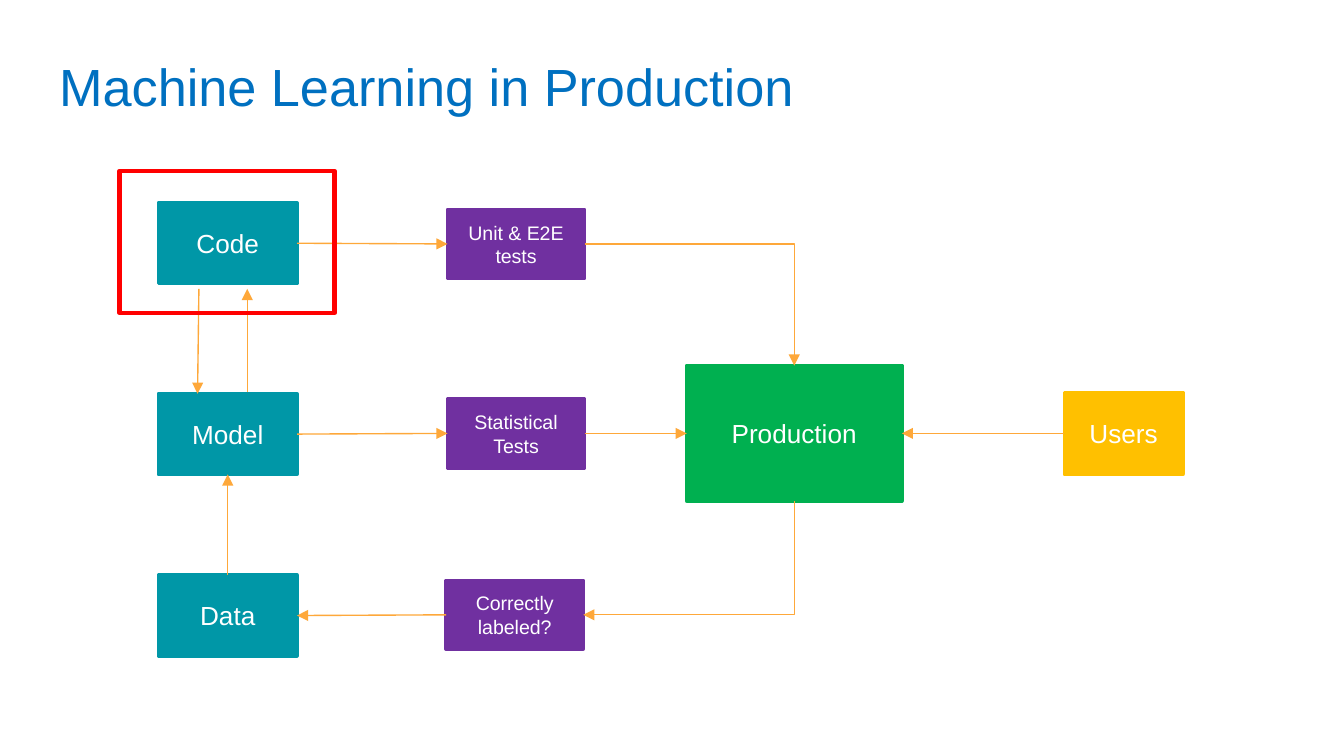
from lxml import etree
from pptx import Presentation
from pptx import util as u
from pptx.dml.color import RGBColor
from pptx.enum import shapes, text
from pptx.oxml import ns

COLORS = {
    "title": "0070C0", "asset": "0097A7", "check": "7030A0",
    "production": "00B050", "users": "FFC000", "arrow": "FEA83A",
    "highlight": "FF0000", "label": "FFFFFF",
}
TOP, LEFT, BOTTOM, RIGHT = range(4)
ASSET_SIZE = (1.03, 0.6)
CHECK_SIZE = (1.02, 0.51)


def rgb(name):
    """Return the named colour."""
    return RGBColor.from_string(COLORS[name])


def style_font(para, size, color):
    """Set the font of a paragraph."""
    para.font.name = "Arial"
    para.font.size = u.Pt(size)
    para.font.color.rgb = rgb(color)


def add_title(page, wording):
    """Fill and place the title placeholder."""
    title = page.shapes.title
    title.left, title.top = u.Inches(0.34), u.Inches(0.3)
    title.width, title.height = u.Inches(9.32), u.Inches(0.63)
    frame = title.text_frame
    frame.text = wording
    frame.auto_size = text.MSO_AUTO_SIZE.NONE
    frame.vertical_anchor = text.MSO_ANCHOR.TOP
    frame.margin_left = frame.margin_right = u.Inches(0.1)
    frame.margin_top = frame.margin_bottom = u.Inches(0.1)
    para = frame.paragraphs[0]
    para.alignment = text.PP_ALIGN.LEFT
    style_font(para, 28, "title")


def add_rectangle(page, left, top, size, color, line_width):
    """Add an unfilled rectangle with a coloured outline."""
    box = page.shapes.add_shape(
        shapes.MSO_SHAPE.RECTANGLE, u.Inches(left), u.Inches(top),
        *(u.Inches(length) for length in size))
    box.shadow.inherit = False
    box.fill.background()
    box.line.color.rgb = rgb(color)
    box.line.width = u.Pt(line_width)
    return box


def add_box(page, wording, left, top, size, color, font_size=14):
    """Add a filled rectangle with a centred label."""
    box = add_rectangle(page, left, top, size, color, 2)
    box.fill.solid()
    box.fill.fore_color.rgb = rgb(color)
    frame = box.text_frame
    frame.text = wording
    frame.word_wrap = True
    frame.vertical_anchor = text.MSO_ANCHOR.MIDDLE
    para = frame.paragraphs[0]
    para.alignment = text.PP_ALIGN.CENTER
    style_font(para, font_size, "label")
    return box


def add_arrow(page, start=(0, 0), end=(0, 0), kind=shapes.MSO_CONNECTOR.STRAIGHT):
    """Add a connector with a triangular head at its end."""
    arrow = page.shapes.add_connector(
        kind, *(u.Inches(length) for length in (*start, *end)))
    arrow.line.color.rgb = rgb("arrow")
    arrow.line.width = u.Pt(0.75)
    line = arrow.line._get_or_add_ln()
    etree.SubElement(line, ns.qn("a:tailEnd"), type="triangle")
    etree.SubElement(arrow._element.spPr, ns.qn("a:effectLst"))
    return arrow


def join(page, source, source_side, target, target_side, **options):
    """Join two boxes with an arrow."""
    arrow = add_arrow(page, **options)
    arrow.begin_connect(source, source_side)
    arrow.end_connect(target, target_side)
    return arrow


def join_around_corner(page, source, source_side, target, target_side):
    """Join two boxes with an arrow that turns once, to the right."""
    arrow = join(page, source, source_side, target, target_side,
                 kind=shapes.MSO_CONNECTOR.ELBOW)
    properties = arrow._element.spPr
    properties.find(ns.qn("a:prstGeom")).set("prst", "bentConnector2")
    if source_side == BOTTOM:
        left, top, width, height = arrow.left, arrow.top, arrow.width, arrow.height
        arrow.left = left + (width - height) // 2
        arrow.top = top + (height - width) // 2
        arrow.width, arrow.height = height, width
        frame = properties.find(ns.qn("a:xfrm"))
        frame.attrib.pop("flipH", None)
        frame.set("rot", "5400000")


def main():
    """Build the slide and save it."""
    deck = Presentation()
    deck.slide_width = u.Inches(10)
    deck.slide_height = deck.slide_width * 9 // 16
    page = deck.slides.add_slide(deck.slide_layouts[5])
    add_title(page, "Machine Learning in Production")

    code, model, data = (
        add_box(page, wording, 1.18, top, ASSET_SIZE, "asset")
        for wording, top in (("Code", 1.51), ("Model", 2.93), ("Data", 4.28)))
    production = add_box(page, "Production", 5.11, 2.72, (1.6, 1.01), "production")
    users = add_box(page, "Users", 7.92, 2.92, (0.88, 0.61), "users")
    code_check, model_check, data_check = (
        add_box(page, wording, left, top, CHECK_SIZE, "check", 10.5)
        for wording, left, top in (
            ("Unit & E2E tests", 3.33, 1.56),
            ("Statistical Tests", 3.33, 2.97),
            ("Correctly labeled?", 3.32, 4.32)))

    for source, source_side, target, target_side in (
            (code, RIGHT, code_check, LEFT),
            (model, RIGHT, model_check, LEFT),
            (model_check, RIGHT, production, LEFT),
            (users, LEFT, production, RIGHT),
            (data_check, LEFT, data, RIGHT),
            (data, TOP, model, BOTTOM)):
        join(page, source, source_side, target, target_side)
    join_around_corner(page, code_check, RIGHT, production, TOP)
    join_around_corner(page, production, BOTTOM, data_check, RIGHT)
    add_arrow(page, (1.48, 2.15), (1.47, 2.93))
    add_arrow(page, (1.84, 2.92), (1.84, 2.15))

    add_rectangle(page, 0.89, 1.27, (1.6, 1.06), "highlight", 2.25)
    deck.save("out.pptx")


if __name__ == "__main__":
    main()
